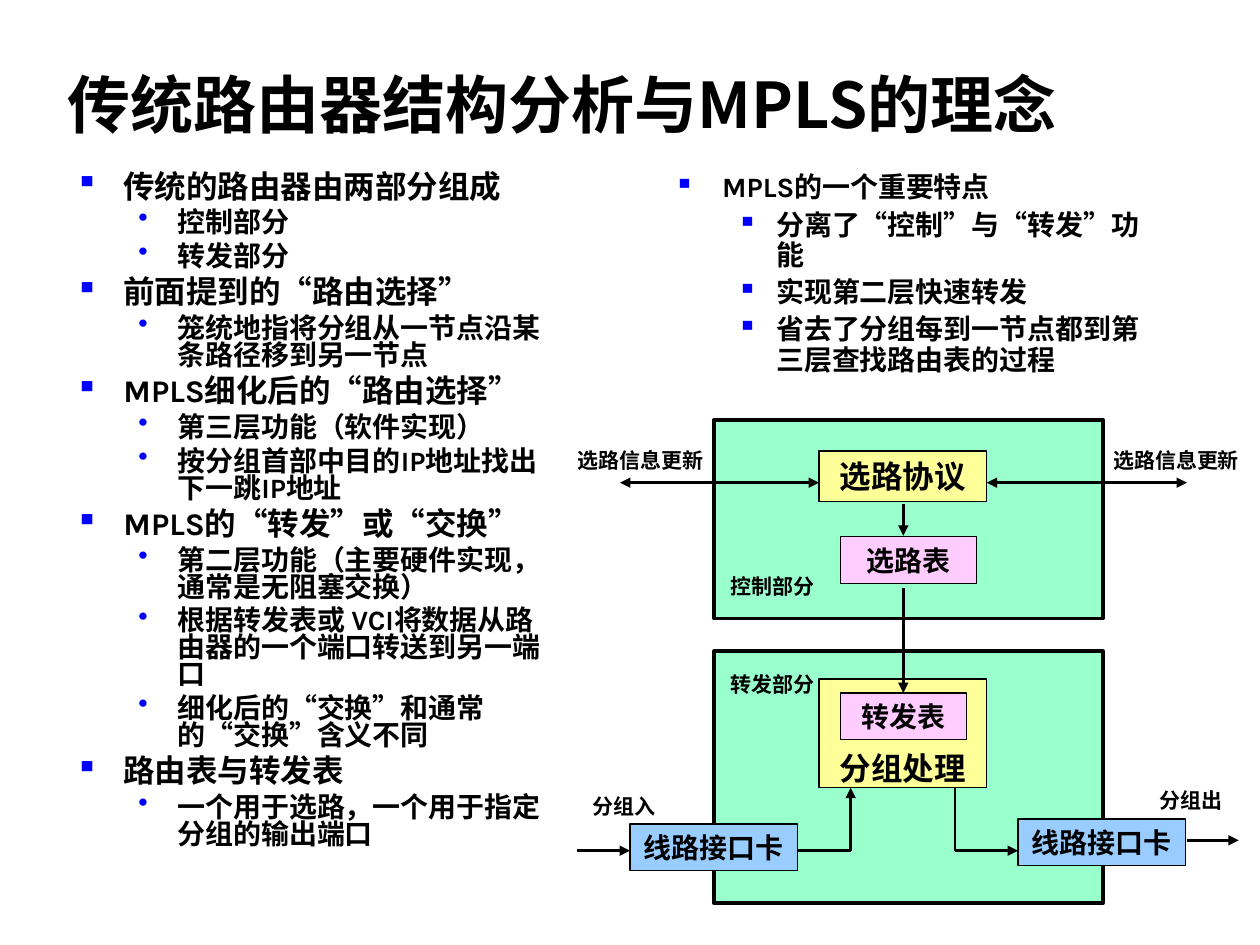
from lxml.etree import SubElement
from pptx import Presentation
from pptx.dml.color import RGBColor
from pptx.enum.shapes import MSO_CONNECTOR, MSO_SHAPE
from pptx.enum.text import MSO_ANCHOR, PP_ALIGN
from pptx.oxml.ns import qn
from pptx.util import Cm, Pt

BLACK = RGBColor(0x00, 0x00, 0x00)
BLUE = RGBColor(0x00, 0x00, 0xFF)
MINT = RGBColor(0x99, 0xFF, 0xCC)
YELLOW = RGBColor(0xFF, 0xFF, 0x99)
PINK = RGBColor(0xFF, 0xCC, 0xFF)
SKY = RGBColor(0x99, 0xCC, 0xFF)

CHINESE_FONT = "Noto Sans CJK SC"
LIST_FONT = "Karla"
DIAGRAM_FONT = "Times New Roman"

ROUTER_POINTS = [
    (0, "传统的路由器由两部分组成"),
    (1, "控制部分"),
    (1, "转发部分"),
    (0, "前面提到的“路由选择”"),
    (1, "笼统地指将分组从一节点沿某条路径移到另一节点"),
    (0, "MPLS细化后的“路由选择”"),
    (1, "第三层功能（软件实现）"),
    (1, "按分组首部中目的IP地址找出下一跳IP地址"),
    (0, "MPLS的“转发”或“交换”"),
    (1, "第二层功能（主要硬件实现，通常是无阻塞交换）"),
    (1, "根据转发表或 VCI将数据从路由器的一个端口转送到另一端口"),
    (1, "细化后的“交换”和通常的“交换”含义不同"),
    (0, "路由表与转发表"),
    (1, "一个用于选路，一个用于指定分组的输出端口"),
]
FEATURE_POINTS = [
    (0, "MPLS的一个重要特点"),
    (1, "分离了“控制”与“转发”功能"),
    (1, "实现第二层快速转发"),
    (1, "省去了分组每到一节点都到第三层查找路由表的过程"),
]


class SlideBuilder:
    def __init__(self, page):
        self.page = page

    def add_span(self, para, text, size, font):
        span = para.add_run()
        span.text = text
        span.font.size = Pt(size)
        span.font.bold = True
        span.font.name = font
        span.font.color.rgb = BLACK
        properties = span.font._element
        SubElement(properties, qn("a:ea")).set("typeface", CHINESE_FONT)

    def text_box(self, left, top, width, height, anchor):
        box = self.page.shapes.add_textbox(Cm(left), Cm(top), Cm(width), Cm(height))
        frame = box.text_frame
        frame.word_wrap = True
        frame.vertical_anchor = anchor
        return frame

    def title(self, text, left, top, width, height):
        frame = self.text_box(left, top, width, height, MSO_ANCHOR.BOTTOM)
        self.add_span(frame.paragraphs[0], text, 36, CHINESE_FONT)

    def label(self, text, left, top, width):
        frame = self.text_box(left, top, width, 0.76, MSO_ANCHOR.MIDDLE)
        para = frame.paragraphs[0]
        para.alignment = PP_ALIGN.CENTER
        self.add_span(para, text, 12, DIAGRAM_FONT)

    def bullets(self, points, left, marks, sizes, spacing):
        frame = self.text_box(left, 3.38, 10.16, 15.04, MSO_ANCHOR.TOP)
        for index, (level, text) in enumerate(points):
            para = frame.add_paragraph() if index else frame.paragraphs[0]
            para.level = level
            properties = para._p.get_or_add_pPr()
            properties.set("marL", str(Cm((0.97, 2.06)[level])))
            properties.set("indent", str(Cm((-0.97, -0.79)[level])))
            color = SubElement(properties, qn("a:buClr"))
            SubElement(color, qn("a:srgbClr")).set("val", str(BLUE))
            SubElement(properties, qn("a:buChar")).set("char", marks[level])
            para.line_spacing = spacing
            para.space_before = Pt(sizes[level] / 4 if index else 0)
            self.add_span(para, text, sizes[level], LIST_FONT)

    def block(self, left, top, width, height, fill, weight=0.75):
        box = self.page.shapes.add_shape(
            MSO_SHAPE.RECTANGLE, Cm(left), Cm(top), Cm(width), Cm(height))
        box.shadow.inherit = False
        box.fill.solid()
        box.fill.fore_color.rgb = fill
        box.line.color.rgb = BLACK
        box.line.width = Pt(weight)
        return box

    def module(self, text, left, top, width, height, fill, size=16,
               anchor=MSO_ANCHOR.MIDDLE):
        frame = self.block(left, top, width, height, fill).text_frame
        frame.word_wrap = True
        frame.vertical_anchor = anchor
        frame.margin_top = frame.margin_bottom = Cm(0)
        para = frame.paragraphs[0]
        para.alignment = PP_ALIGN.CENTER
        self.add_span(para, text, size, DIAGRAM_FONT)

    def wire(self, start, end, ends=("tailEnd",)):
        points = [Cm(value) for value in (*start, *end)]
        connector = self.page.shapes.add_connector(MSO_CONNECTOR.STRAIGHT, *points)
        connector.line.color.rgb = BLACK
        connector.line.width = Pt(1.5)
        properties = connector.element.spPr
        outline = properties.find(qn("a:ln"))
        for name in ends:
            SubElement(outline, qn(f"a:{name}")).set("type", "triangle")
        SubElement(properties, qn("a:effectLst"))


def main():
    deck = Presentation()
    deck.slide_width = Cm(25.4)
    deck.slide_height = Cm(19.05)
    builder = SlideBuilder(deck.slides.add_slide(deck.slide_layouts[6]))

    builder.title("传统路由器结构分析与MPLS的理念", 1.12, 0.43, 22.78, 2.54)
    builder.bullets(ROUTER_POINTS, 1.27, "▪•", (18, 16), 0.8)

    for top, height in ((8.46, 4.01), (13.13, 5.08)):
        builder.block(14.4, top, 7.83, height, MINT, 2.25)

    builder.module("选路协议", 16.51, 9.09, 3.38, 1.02, YELLOW, 18)
    builder.module("选路表", 16.94, 10.82, 2.74, 0.94, PINK)
    builder.module("分组处理", 16.51, 13.69, 3.38, 2.18, YELLOW, 18, MSO_ANCHOR.BOTTOM)
    builder.module("转发表", 16.94, 13.97, 2.54, 0.94, PINK)
    for left, top in ((12.7, 16.61), (20.52, 16.51)):
        builder.module("线路接口卡", left, top, 3.38, 0.94, SKY)

    for left, right in ((19.89, 23.93), (12.5, 16.51)):
        builder.wire((left, 9.73), (right, 9.73), ("headEnd", "tailEnd"))
    for start, end in (
        ((11.63, 17.15), (12.7, 17.15)),
        ((23.93, 16.94), (24.97, 16.94)),
        ((18.21, 10.16), (18.21, 10.8)),
        ((18.21, 11.86), (18.21, 13.97)),
        ((17.15, 17.15), (17.15, 15.88)),
        ((19.25, 17.15), (20.52, 17.15)),
    ):
        builder.wire(start, end)
    builder.wire((16.08, 17.15), (17.15, 17.15), ())
    builder.wire((19.25, 15.88), (19.25, 17.15), ())

    for text, left, top, width in (
        ("选路信息更新", 22.02, 8.89, 3.38),
        ("选路信息更新", 11.23, 8.89, 3.38),
        ("分组出", 23.06, 15.75, 1.91),
        ("分组入", 11.63, 15.88, 1.91),
        ("控制部分", 14.4, 11.43, 2.34),
        ("转发部分", 14.4, 13.41, 2.34),
    ):
        builder.label(text, left, top, width)

    builder.bullets(FEATURE_POINTS, 13.34, "▪▪", (16, 16), 0.9)
    deck.save("out.pptx")


if __name__ == "__main__":
    main()
